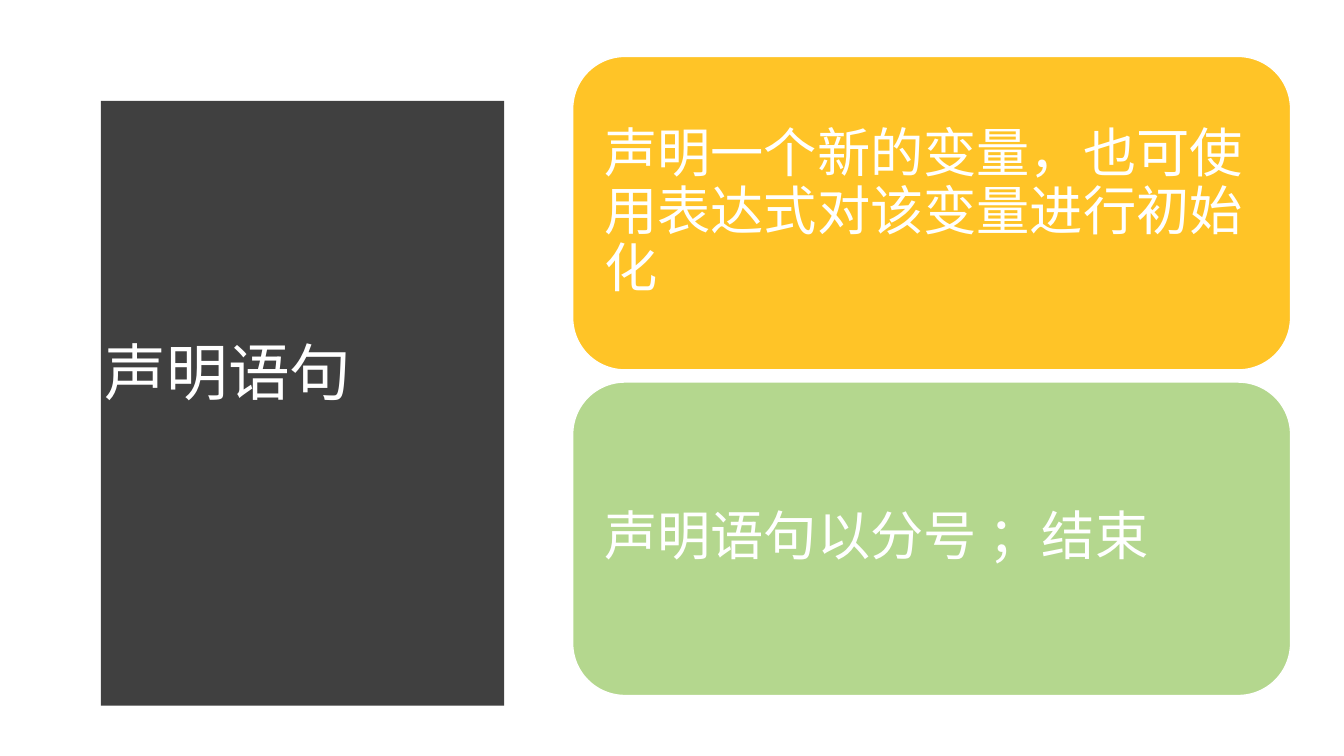
from pptx import Presentation
from pptx.dml.color import RGBColor
from pptx.enum.shapes import MSO_SHAPE as Shape
from pptx.enum.text import MSO_ANCHOR as Anchor, MSO_AUTO_SIZE as AutoSize, PP_ALIGN as Align
from pptx.util import Inches, Pt

WHITE = "FFFFFF"
CURVE_STEPS = 48
CARDS = [
    ("声明一个新的变量，也可使用表达式对该变量进行初始化", "FFC427"),
    ("声明语句以分号 ；结束", "B4D78E"),
]


def paint(color_format, hex_color):
    """Apply a hex colour to a fill or font colour."""
    color_format.rgb = RGBColor.from_string(hex_color)


def write(frame, words, size, font_name):
    """Write one left-aligned, vertically centred white paragraph."""
    frame.word_wrap = True
    frame.auto_size = AutoSize.NONE
    frame.vertical_anchor = Anchor.MIDDLE
    paragraph = frame.paragraphs[0]
    paragraph.alignment = Align.LEFT
    paragraph.line_spacing = 0.9
    run = paragraph.add_run()
    run.text = words
    run.font.size = Pt(size)
    run.font.name = font_name
    paint(run.font.color, WHITE)


def add_title_panel(slide, left, top, width, height):
    """Draw the dark panel with a bulging right edge and put the title on it."""
    bulge = 0.05 * width
    shares = [step / CURVE_STEPS for step in range(CURVE_STEPS + 1)]
    edge = [(left + width - bulge * (2 * share - 1) ** 2, top + height * share)
            for share in shares]
    builder = slide.shapes.build_freeform(left, top, scale=Inches(1))
    builder.add_line_segments(edge + [(left, top + height)], close=True)
    panel = builder.convert_to_shape()
    panel.shadow.inherit = False
    panel.fill.solid()
    paint(panel.fill.fore_color, "404040")
    panel.line.fill.background()

    title = slide.shapes.title
    title.left, title.top = Inches(left + 0.41), Inches(top + 0.59)
    title.width, title.height = Inches(width - 1.05), Inches(height - 1.2)
    write(title.text_frame, "声明语句", 44, "Quicksand")
    title.element.addprevious(panel.element)


def add_cards(slide, left, top, width, height, gap=0.12):
    """Stack the rounded cards evenly in the given box."""
    card_height = (height - gap * (len(CARDS) - 1)) / len(CARDS)
    for row, (words, color) in enumerate(CARDS):
        card_top = top + row * (card_height + gap)
        card = slide.shapes.add_shape(
            Shape.ROUNDED_RECTANGLE, Inches(left), Inches(card_top),
            Inches(width), Inches(card_height))
        card.shadow.inherit = False
        card.fill.solid()
        paint(card.fill.fore_color, color)
        paint(card.line.color, WHITE)
        card.line.width = Pt(1)
        frame = card.text_frame
        frame.margin_left = frame.margin_right = Inches(0.16)
        frame.margin_top = frame.margin_bottom = Inches(0.16)
        write(frame, words, 38, "Calibri")


def main():
    """Build and save the presentation."""
    deck = Presentation()
    deck.slide_width, deck.slide_height = Inches(13.33), Inches(7.5)
    slide = deck.slides.add_slide(deck.slide_layouts.get_by_name("Title Only"))
    add_title_panel(slide, 0.53, 0.52, 4.79, 6.44)
    add_cards(slide, 5.68, 0.56, 7.12, 6.34)
    deck.save("out.pptx")


if __name__ == "__main__":
    main()
